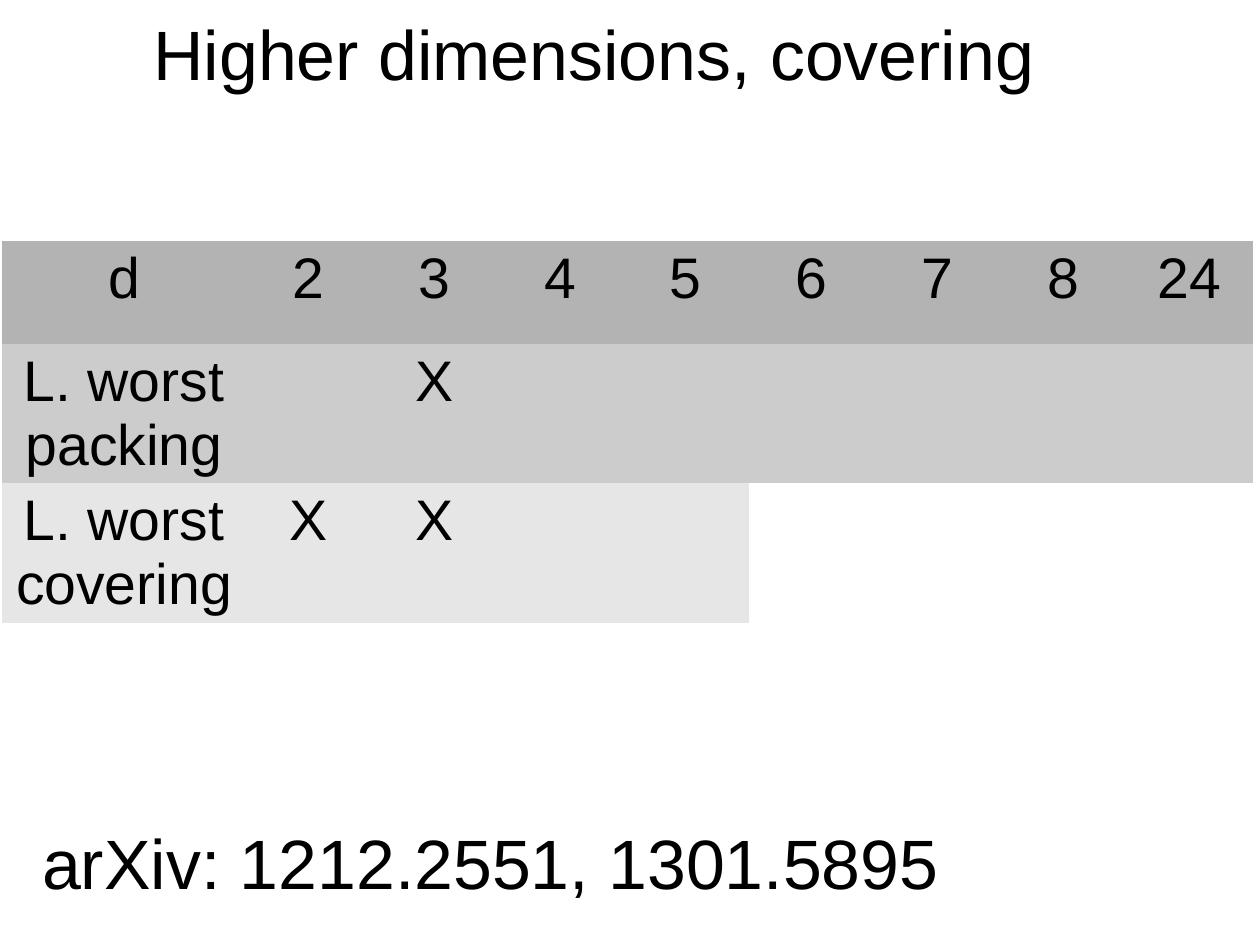
from pptx import Presentation
from pptx.dml.color import RGBColor
from pptx.enum import text
from pptx.oxml import ns
from pptx.util import Inches, Pt

BLACK = RGBColor(0x00, 0x00, 0x00)
WHITE = RGBColor(0xFF, 0xFF, 0xFF)
HEADER_GREY = RGBColor(0xB3, 0xB3, 0xB3)
PACKING_GREY = RGBColor(0xCC, 0xCC, 0xCC)
COVERING_GREY = RGBColor(0xE6, 0xE6, 0xE6)
NO_STYLE_NO_GRID = "{2D5ABB26-0587-4C30-8999-92F81FD0307C}"
CM_PER_INCH = 2.54


def write(tf, words, size, align):
    tf.text = words
    p = tf.paragraphs[0]
    p.alignment = align
    for r in p.runs:
        for name, value in {"name": "Arial", "size": Pt(size)}.items():
            setattr(r.font, name, value)
        r.font.color.rgb = BLACK


prs = Presentation()
# The page measures 28 by 21 cm
prs.slide_width = Inches(28 / CM_PER_INCH)
prs.slide_height = Inches(21 / CM_PER_INCH)
s = prs.slides.add_slide(prs.slide_layouts[6])

# Lattice table: fill, number of filled columns, cell texts
rows = [
    (HEADER_GREY, 9, ["d", "2", "3", "4", "5", "6", "7", "8", "24"]),
    (PACKING_GREY, 9, ["L. worst\vpacking", "", "X"]),
    (COVERING_GREY, 5, ["L. worst\vcovering", "X", "X"]),
]
col_widths = [2.13] + [1.1] * 7 + [1.11]

frame = s.shapes.add_table(len(rows), len(col_widths), Inches(0.02), Inches(2.11),
                           Inches(sum(col_widths)), Inches(3.34))
table = frame.table
next(frame.element.iter(ns.qn("a:tableStyleId"))).text = NO_STYLE_NO_GRID
table.first_row = table.horz_banding = False

for column, width in zip(table.columns, col_widths):
    column.width = Inches(width)

for row, (color, filled, words) in zip(table.rows, rows):
    row.height = Inches(0.9)
    for i, cell in enumerate(row.cells):
        cell.fill.solid()
        cell.fill.fore_color.rgb = color if i < filled else WHITE
        if i < len(words) and words[i]:
            write(cell.text_frame, words[i], 36, text.PP_ALIGN.CENTER)
# Two-line rows grow beyond their minimum height
frame.height = Inches(3.34)

# Title and references
for left, top, width, words, align in [
    (0, 0.04, 10.4, "Higher dimensions, covering", text.PP_ALIGN.CENTER),
    (0.27, 7.12, 10.74, "arXiv: 1212.2551, 1301.5895", text.PP_ALIGN.LEFT),
]:
    sp = s.shapes.add_textbox(Inches(left), Inches(top), Inches(width), Inches(0.78))
    sp.text_frame.word_wrap = True
    write(sp.text_frame, words, 44, align)

prs.save("out.pptx")
